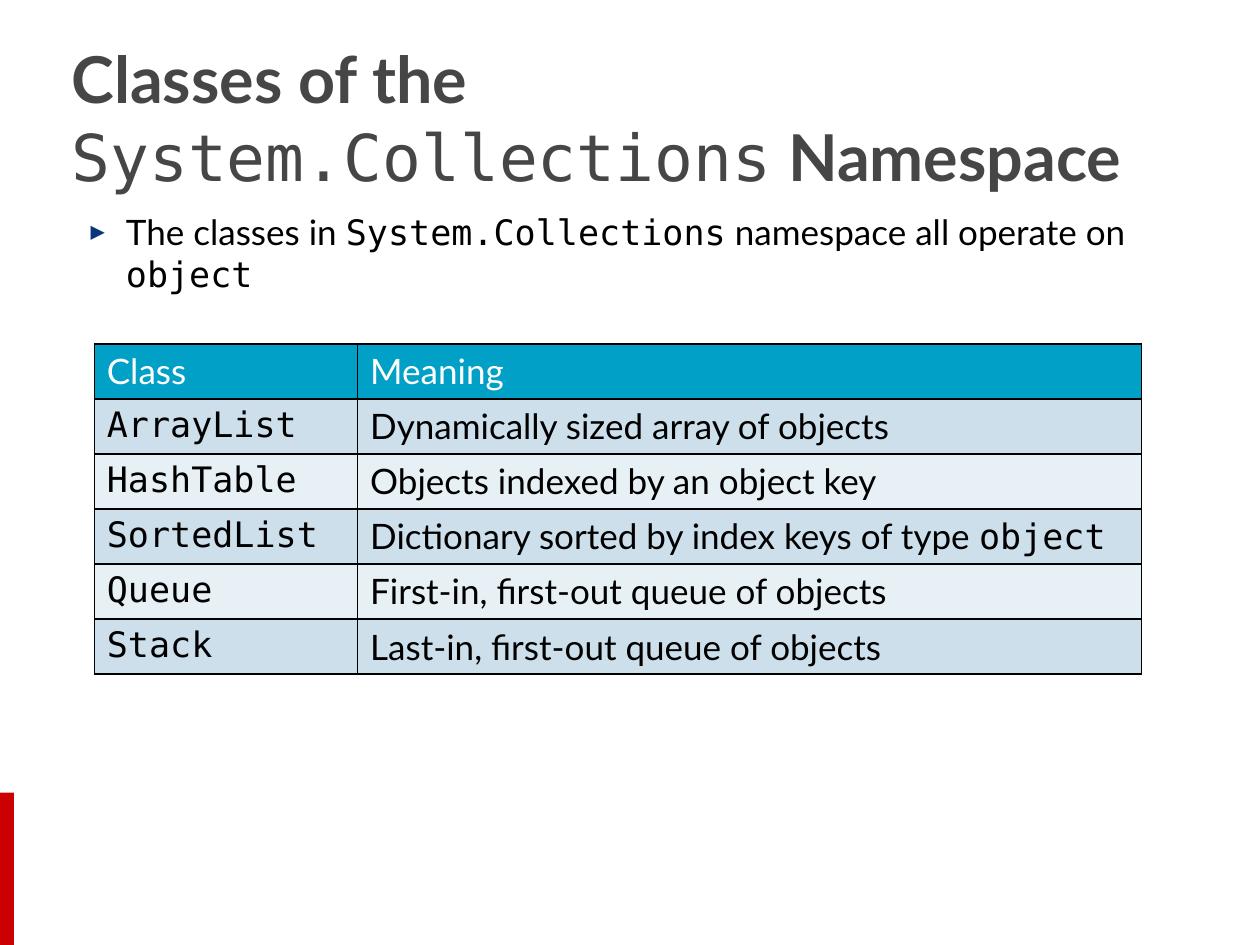
import pptx
import pptx.dml.color
import pptx.enum.shapes
import pptx.enum.text
import pptx.oxml
import pptx.oxml.ns
import pptx.util
from pptx.util import Cm

COLORS = {
    "accent": "CC0000",
    "title": "464646",
    "text": "000000",
    "bullet": "09367A",
    "header": "01A0C7",
    "header_text": "FFFFFF",
    "odd_row": "CCDFEB",
    "even_row": "E7F0F5",
    "border": "000000",
}
SANS, MONO = "Lato", "DejaVu Sans Mono"

CLASSES = [
    ("ArrayList", [("Dynamically sized array of objects", SANS)]),
    ("HashTable", [("Objects indexed by an object key", SANS)]),
    ("SortedList", [("Dictionary sorted by index keys of type ", SANS), ("object", MONO)]),
    ("Queue", [("First-in, first-out queue of objects", SANS)]),
    ("Stack", [("Last-in, first-out queue of objects", SANS)]),
]


def rgb(name):
    return pptx.dml.color.RGBColor.from_string(COLORS[name])


def add_xml(parent, tag, content="", **attributes):
    attrs = "".join(f' {key}="{value}"' for key, value in attributes.items())
    namespace = pptx.oxml.ns.nsdecls("a")
    parent.append(pptx.oxml.parse_xml(f"<a:{tag} {namespace}{attrs}>{content}</a:{tag}>"))


class SlideBuilder:
    """Holds the text style and the slide being filled."""

    def __init__(self, slide, body_size=20, title_size=36.9):
        self.slide = slide
        self.body_size = body_size
        self.title_size = title_size

    def runs(self, paragraph, pieces, color="text", size=None, bold_sans=False):
        """Add (text, font) pieces; bold_sans makes only the sans pieces bold."""
        for text, font in pieces:
            run = paragraph.add_run()
            run.text = text
            run.font.name = font
            run.font.size = pptx.util.Pt(size or self.body_size)
            run.font.bold = bold_sans and font == SANS
            run.font.color.rgb = rgb(color)

    def bar(self, left, top, width, height):
        bar = self.slide.shapes.add_shape(
            pptx.enum.shapes.MSO_SHAPE.RECTANGLE, left, top, width, height)
        bar.shadow.inherit = False
        bar.fill.solid()
        bar.fill.fore_color.rgb = rgb("accent")
        bar.line.fill.background()

    def text_frame(self, left, top, width, height):
        frame = self.slide.shapes.add_textbox(left, top, width, height).text_frame
        frame.word_wrap = True
        return frame

    def title(self, lines, *box):
        frame = self.text_frame(*box)
        frame.vertical_anchor = pptx.enum.text.MSO_ANCHOR.MIDDLE
        heading = frame.paragraphs[0]
        for number, pieces in enumerate(lines):
            if number:
                heading.add_line_break()
            self.runs(heading, pieces, "title", self.title_size, bold_sans=True)

    def bullet(self, pieces, *box):
        point = self.text_frame(*box).paragraphs[0]
        point.space_before = pptx.util.Pt(4)
        properties = point._p.get_or_add_pPr()
        properties.set("marL", str(Cm(1.02)))
        properties.set("indent", str(Cm(-0.71)))
        add_xml(properties, "buClr", f'<a:srgbClr val="{COLORS["bullet"]}"/>')
        add_xml(properties, "buSzPct", val=68000)
        add_xml(properties, "buFont", typeface=MONO)
        add_xml(properties, "buChar", char="▶")
        self.runs(point, pieces)

    def cell(self, cell, pieces, fill, color):
        properties = cell._tc.get_or_add_tcPr()
        line = f'<a:solidFill><a:srgbClr val="{COLORS["border"]}"/></a:solidFill>'
        for side in ("lnL", "lnR", "lnT", "lnB"):
            add_xml(properties, side, line, w=pptx.util.Pt(1))
        cell.fill.solid()
        cell.fill.fore_color.rgb = rgb(fill)
        self.runs(cell.text_frame.paragraphs[0], pieces, color)

    def table(self, rows, left, top, column_widths, row_height):
        table = self.slide.shapes.add_table(
            len(rows), len(column_widths), left, top,
            sum(column_widths), row_height * len(rows)).table
        for column, width in zip(table.columns, column_widths):
            column.width = width
        for r, row in enumerate(rows):
            fill = "header" if r == 0 else "odd_row" if r % 2 else "even_row"
            color = "text" if r else "header_text"
            for c, pieces in enumerate(row):
                self.cell(table.cell(r, c), pieces, fill, color)


def main():
    deck = pptx.Presentation()
    deck.slide_width, deck.slide_height = Cm(25.4), Cm(19.05)
    builder = SlideBuilder(deck.slides.add_slide(deck.slide_layouts[6]))

    builder.bar(Cm(0), Cm(15.98), Cm(0.28), Cm(3.07))
    builder.bullet(
        [("The classes in ", SANS), ("System.Collections", MONO),
         (" namespace all operate on ", SANS), ("object", MONO)],
        Cm(1.27), Cm(4.11), Cm(22.83), Cm(12.57))
    builder.title(
        [[("Classes of the", SANS)],
         [("System.Collections", MONO), (" Namespace", SANS)]],
        Cm(1.19), Cm(0.76), Cm(22.94), Cm(3.18))

    header = [[("Class", SANS)], [("Meaning", SANS)]]
    rows = [header] + [[[(name, MONO)], meaning] for name, meaning in CLASSES]
    builder.table(rows, Cm(1.9), Cm(6.93), [Cm(5.31), Cm(15.8)], Cm(1.11))

    deck.save("out.pptx")


if __name__ == "__main__":
    main()
